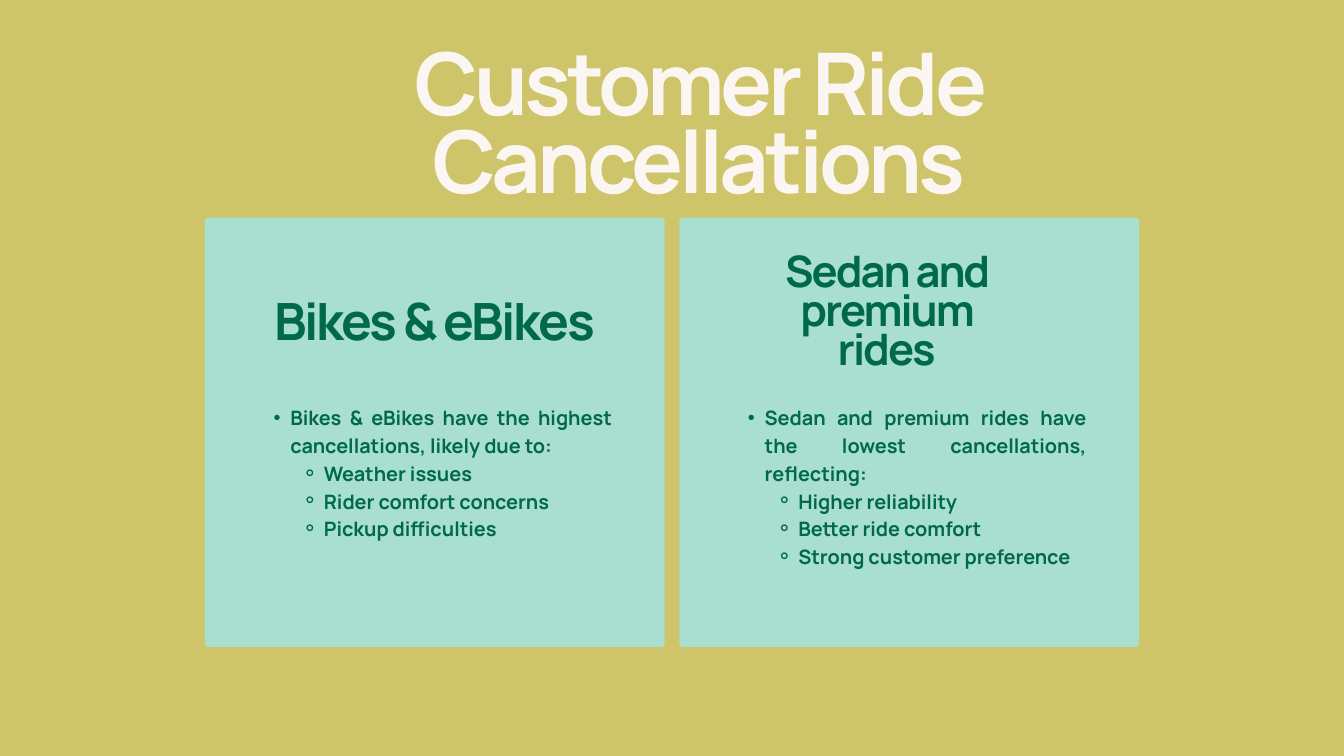
from pptx import Presentation
from pptx.dml.color import RGBColor
from pptx.enum.shapes import MSO_SHAPE as Shape
from pptx.enum.text import MSO_ANCHOR as Anchor, MSO_AUTO_SIZE as AutoSize, PP_ALIGN as Align
from pptx.oxml.ns import qn
from pptx.util import Inches, Pt
from lxml.etree import SubElement

OLIVE = RGBColor(0xCE, 0xC4, 0x6A)
MINT = RGBColor(0xA9, 0xDF, 0xD0)
GREEN = RGBColor(0x00, 0x69, 0x4C)
CREAM = RGBColor(0xFB, 0xF6, 0xF1)
FONT = "Manrope"

TITLE = "Customer Ride Cancellations"
CARDS = [
    {
        "heading": "Bikes & eBikes",
        "heading_box": (4.08, 4.53, 4.78, 0.76),
        "heading_style": {"size": 55, "leading": 49.5, "tracking": -2.5},
        "lead": "Bikes & eBikes have the highest cancellations, likely due to:",
        "reasons": ["Weather issues", "Rider comfort concerns", "Pickup difficulties"],
    },
    {
        "heading": "Sedan and premium rides",
        "heading_box": (11.33, 3.82, 3.73, 1.8),
        "heading_style": {"size": 46.5, "leading": 41.9, "tracking": -2.1},
        "lead": "Sedan and premium rides have the lowest cancellations, reflecting:",
        "reasons": ["Higher reliability", "Better ride comfort", "Strong customer preference"],
    },
]

CARD_LEFT, CARD_TOP, CARD_WIDTH, CARD_HEIGHT = 3.05, 3.24, 6.84, 6.39
CARD_STEP = 7.06
CORNER = 0.05
LIST_INSET, LIST_TOP, LIST_WIDTH, LINE_HEIGHT = 0.77, 5.98, 5.29, 0.41
BULLETS = [("•", 0.5, -0.25), ("⚬", 1, -0.33)]
TITLE_STYLE = {"size": 92.6, "leading": 83.4, "tracking": -4.3, "color": CREAM}
LIST_STYLE = {"size": 21.3, "leading": 29.8, "align": Align.JUSTIFY}


def place(box, left, top, width, height):
    bounds = {"left": left, "top": top, "width": width, "height": height}
    for name, value in bounds.items():
        setattr(box, name, Inches(value))
    frame_format = {
        "margin_left": 0, "margin_top": 0, "margin_right": 0, "margin_bottom": 0,
        "word_wrap": True, "auto_size": AutoSize.NONE, "vertical_anchor": Anchor.TOP,
    }
    for name, value in frame_format.items():
        setattr(box.text_frame, name, value)


def write(para, text, size, leading, tracking=0, color=GREEN, align=Align.CENTER):
    para_format = {
        "alignment": align, "line_spacing": Pt(leading),
        "space_before": Pt(0), "space_after": Pt(0),
    }
    for name, value in para_format.items():
        setattr(para, name, value)
    span = para.add_run()
    span.text = text
    for name, value in {"name": FONT, "size": Pt(size), "bold": True}.items():
        setattr(span.font, name, value)
    span.font.color.rgb = color
    if tracking:
        span._r.get_or_add_rPr().set("spc", str(round(tracking * 100)))


def add_bullet(para, level):
    symbol, margin, indent = BULLETS[level]
    para.level = level
    properties = para._p.get_or_add_pPr()
    properties.set("marL", str(Inches(margin)))
    properties.set("indent", str(Inches(indent)))
    SubElement(properties, qn("a:buChar")).set("char", symbol)


def fill_list(box, lead, reasons):
    for index, text in enumerate([lead, *reasons]):
        frame = box.text_frame
        para = frame.add_paragraph() if index else frame.paragraphs[0]
        add_bullet(para, min(index, 1))
        write(para, text, **LIST_STYLE)


def add_card(page, left):
    card = page.shapes.add_shape(
        Shape.ROUNDED_RECTANGLE,
        *map(Inches, (left, CARD_TOP, CARD_WIDTH, CARD_HEIGHT)),
    )
    card.adjustments[0] = CORNER / CARD_HEIGHT
    card.shadow.inherit = False
    card.fill.solid()
    card.fill.fore_color.rgb = MINT
    card.line.fill.background()
    page.shapes.title.element.addnext(card.element)


def main():
    deck = Presentation()
    deck.slide_width, deck.slide_height = Inches(20), Inches(11.25)
    page = deck.slides.add_slide(deck.slide_layouts.get_by_name("Comparison"))
    page.background.fill.solid()
    page.background.fill.fore_color.rgb = OLIVE

    title, *bodies = page.placeholders
    place(title, 2.31, 0.82, 16.18, 2.41)
    write(title.text_frame.paragraphs[0], TITLE, **TITLE_STYLE)

    for index, card in enumerate(CARDS):
        left = CARD_LEFT + index * CARD_STEP
        add_card(page, left)
        heading, details = bodies[2 * index:2 * index + 2]
        place(heading, *card["heading_box"])
        write(heading.text_frame.paragraphs[0], card["heading"], **card["heading_style"])
        lines = 6 + index
        place(details, left + LIST_INSET, LIST_TOP, LIST_WIDTH, lines * LINE_HEIGHT)
        fill_list(details, card["lead"], card["reasons"])

    deck.save("out.pptx")


if __name__ == "__main__":
    main()
